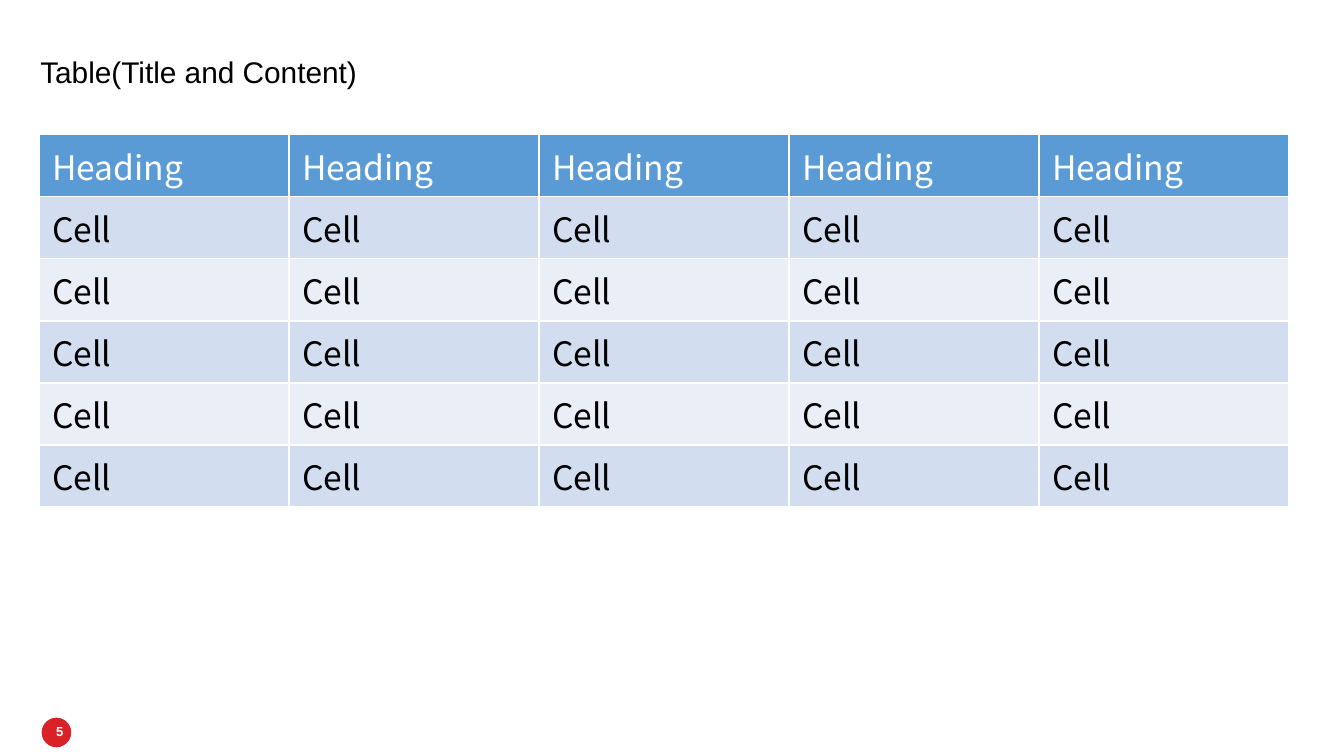
"""Build a slide with a title, a banded table and a page-number badge."""
from dataclasses import dataclass

from pptx import Presentation
from pptx.dml.color import RGBColor as Color
from pptx.enum.shapes import MSO_SHAPE as Shape
from pptx.enum.text import MSO_ANCHOR as Anchor, PP_ALIGN as Align
from pptx.oxml.ns import qn
from pptx.slide import Slide
from pptx.text.text import TextFrame
from pptx.util import Inches, Pt
from lxml.etree import SubElement


@dataclass(frozen=True)
class TextStyle:
    font: str
    size: float
    color: str
    bold: bool = False


@dataclass(frozen=True)
class Theme:
    title: TextStyle = TextStyle("Arial", 16, "000000")
    heading: TextStyle = TextStyle("Noto Sans CJK JP", 18, "FFFFFF")
    body: TextStyle = TextStyle("Noto Sans CJK JP", 18, "000000")
    number: TextStyle = TextStyle("Arial", 7, "FFFFFF", True)
    heading_fill: str = "5B9BD5"
    bands: tuple[str, str] = ("D2DEEF", "EAEFF7")
    badge: str = "DA2128"


@dataclass(frozen=True)
class TableRow:
    label: str
    fill: str
    style: TextStyle


@dataclass(frozen=True)
class Frame:
    left: float
    top: float
    width: float
    height: float

    def lengths(self) -> tuple[Inches, ...]:
        return tuple(map(Inches, (self.left, self.top, self.width, self.height)))


THEME = Theme()
COLUMNS = 5
BODY_ROWS = 5
ROW_HEIGHT = 0.46


def write(frame: TextFrame, text: str, style: TextStyle) -> None:
    span = frame.paragraphs[0].add_run()
    span.text = text
    font = span.font
    font.name, font.size, font.bold = style.font, Pt(style.size), style.bold
    font.color.rgb = Color.from_string(style.color)
    SubElement(font._element, qn("a:ea"), typeface=style.font)


def add_title(page: Slide, text: str) -> None:
    title = page.shapes.title
    title.left, title.top, title.width, title.height = Frame(0.3, 0.24, 7.93, 0.43).lengths()
    frame = title.text_frame
    frame.margin_left = frame.margin_right = frame.margin_top = frame.margin_bottom = 0
    frame.vertical_anchor = Anchor.BOTTOM
    frame.word_wrap = True
    para = frame.paragraphs[0]
    para.alignment, para.line_spacing = Align.LEFT, 0.9
    write(frame, text, THEME.title)


def add_table(page: Slide, rows: list[TableRow]) -> None:
    place = Frame(0.29, 1, 9.3, ROW_HEIGHT * len(rows))
    table = page.shapes.add_table(len(rows), COLUMNS, *place.lengths()).table
    for row, entry in zip(table.rows, rows):
        row.height = Inches(ROW_HEIGHT)
        for cell in row.cells:
            cell.fill.solid()
            cell.fill.fore_color.rgb = Color.from_string(entry.fill)
            write(cell.text_frame, entry.label, entry.style)


def add_badge(page: Slide) -> None:
    badge = page.shapes.add_shape(Shape.OVAL, *Frame(0.31, 5.34, 0.22, 0.22).lengths())
    badge.shadow.inherit = False
    badge.fill.solid()
    badge.fill.fore_color.rgb = Color.from_string(THEME.badge)
    badge.line.fill.background()


def add_number(page: Slide, text: str) -> None:
    box = page.shapes.add_textbox(*Frame(0.18, 5.29, 0.39, 0.3).lengths())
    frame = box.text_frame
    frame.word_wrap = True
    frame.vertical_anchor = Anchor.MIDDLE
    frame.paragraphs[0].alignment = Align.RIGHT
    write(frame, text, THEME.number)


def main() -> None:
    deck = Presentation()
    deck.slide_width = Inches(10)
    deck.slide_height = Inches(10 * 9 / 16)
    page = deck.slides.add_slide(deck.slide_layouts[5])
    heading = TableRow("Heading", THEME.heading_fill, THEME.heading)
    body = [TableRow("Cell", THEME.bands[i % 2], THEME.body) for i in range(BODY_ROWS)]
    add_badge(page)
    add_title(page, "Table(Title and Content)")
    add_table(page, [heading, *body])
    add_number(page, "5")
    deck.save("out.pptx")


if __name__ == "__main__":
    main()
